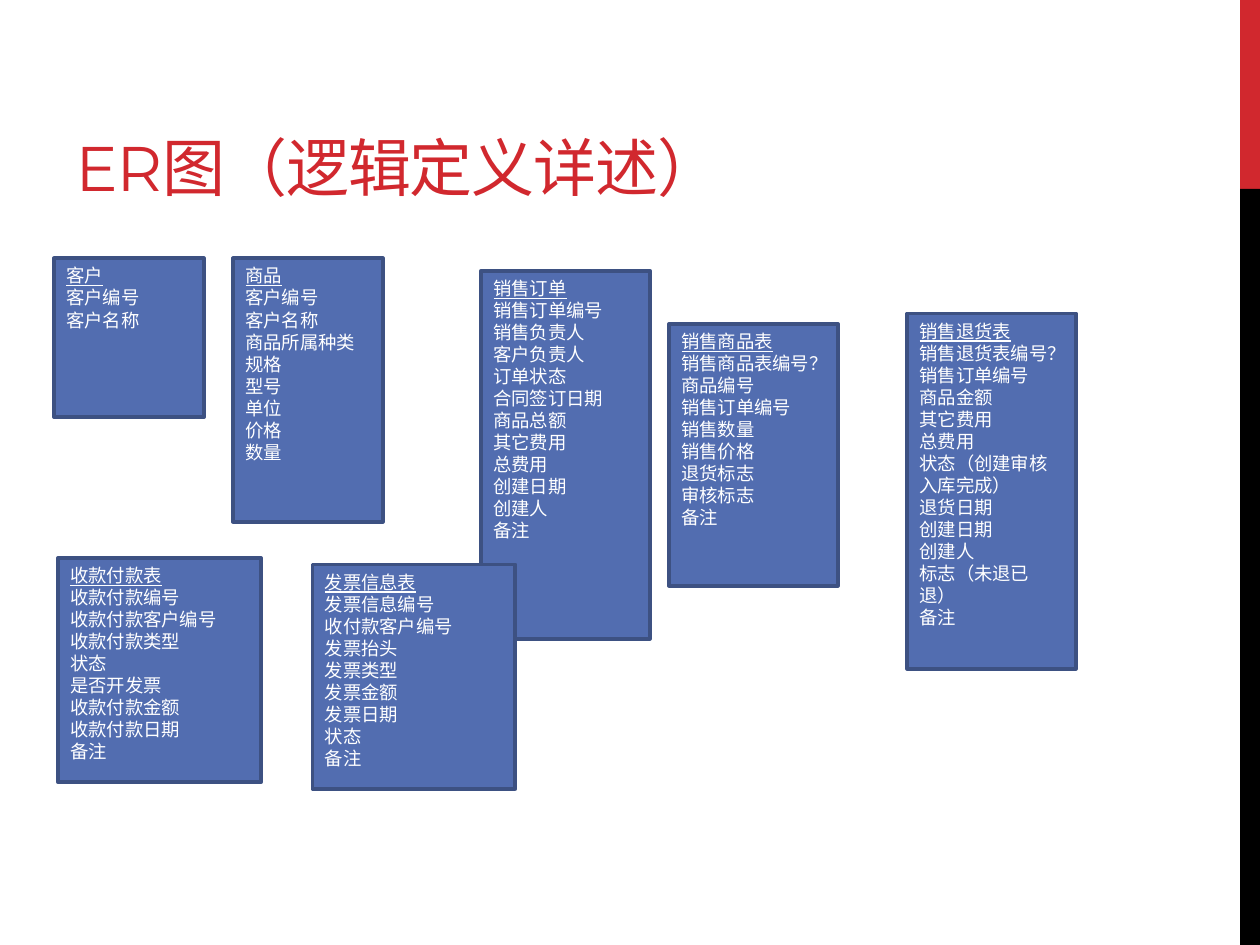
from dataclasses import dataclass

from lxml import etree
from pptx import Presentation
from pptx import util as u
from pptx.dml.color import RGBColor
from pptx.enum import shapes, text
from pptx.oxml.ns import qn

RED = RGBColor(0xD1, 0x28, 0x2E)
BLACK = RGBColor(0x00, 0x00, 0x00)
WHITE = RGBColor(0xFF, 0xFF, 0xFF)
BLUE = RGBColor(0x52, 0x6D, 0xB0)
NAVY = RGBColor(0x3D, 0x51, 0x82)

ENTITY_FONT = {"name": "Arial", "size": u.Pt(10.5)}
TITLE_FONT = {"name": "Montserrat", "size": u.Pt(36), "bold": False}
CHARACTER_WIDTH = 0.37
RULE_OVERHANG = 0.82


@dataclass(frozen=True)
class Entity:
    """A table of the ER diagram; lengths in centimetres."""

    name: str
    left: float
    top: float
    width: float
    height: float
    fields: tuple[str, ...]


ENTITIES = (
    Entity("客户", 1.09, 5.21, 3.02, 3.2, ("客户编号", "客户名称")),
    Entity("收款付款表", 1.17, 11.25, 4.09, 4.52, (
        "收款付款编号", "收款付款客户编号", "收款付款类型", "状态",
        "是否开发票", "收款付款金额", "收款付款日期", "备注")),
    Entity("销售订单", 9.7, 5.46, 3.4, 7.42, (
        "销售订单编号", "销售负责人", "客户负责人", "订单状态",
        "合同签订日期", "商品总额", "其它费用", "总费用",
        "创建日期", "创建人", "备注")),
    Entity("销售商品表", 13.49, 6.53, 3.4, 5.28, (
        "销售商品表编号？", "商品编号", "销售订单编号", "销售数量",
        "销售价格", "退货标志", "审核标志", "备注")),
    Entity("销售退货表", 18.29, 6.32, 3.4, 7.16, (
        "销售退货表编号？", "销售订单编号", "商品金额", "其它费用",
        "总费用", "状态（创建审核入库完成）", "退货日期", "创建日期",
        "创建人", "标志（未退已退）", "备注")),
    Entity("商品", 4.7, 5.21, 3.02, 5.31, (
        "客户编号", "客户名称", "商品所属种类", "规格",
        "型号", "单位", "价格", "数量")),
    Entity("发票信息表", 6.3, 11.38, 4.09, 4.52, (
        "发票信息编号", "收付款客户编号", "发票抬头", "发票类型",
        "发票金额", "发票日期", "状态", "备注")),
)


def apply_format(target, values: dict) -> None:
    """Set each named attribute on the target."""
    for name, value in values.items():
        setattr(target, name, value)


def add_box(page, left: float, top: float, width: float, height: float,
            fill: RGBColor):
    """Add a flat rectangle without an outline."""
    box = page.shapes.add_shape(
        shapes.MSO_SHAPE.RECTANGLE,
        u.Cm(left), u.Cm(top), u.Cm(width), u.Cm(height))
    box.shadow.inherit = False
    box.fill.solid()
    box.fill.fore_color.rgb = fill
    box.line.fill.background()
    return box


def add_tab_stop(para, position: float) -> None:
    """Give a paragraph one left tab stop."""
    tabs = etree.SubElement(para._p.get_or_add_pPr(), qn("a:tabLst"))
    etree.SubElement(tabs, qn("a:tab"), pos=str(int(u.Cm(position))), algn="l")


def add_entity(page, entity: Entity) -> None:
    """Draw an entity with its underlined name above its fields."""
    box = add_box(page, entity.left, entity.top, entity.width, entity.height, BLUE)
    box.line.color.rgb = NAVY
    box.line.width = u.Pt(2.25)
    frame = box.text_frame
    apply_format(frame, {"word_wrap": True,
                         "vertical_anchor": text.MSO_ANCHOR.TOP})
    for index, line in enumerate((entity.name + "\t", *entity.fields)):
        para = frame.add_paragraph() if index else frame.paragraphs[0]
        para.alignment = text.PP_ALIGN.LEFT
        span = para.add_run()
        span.text = line
        apply_format(span.font, {**ENTITY_FONT, "underline": index == 0})
        span.font.color.rgb = WHITE
    add_tab_stop(frame.paragraphs[0],
                 len(entity.name) * CHARACTER_WIDTH + RULE_OVERHANG)


def set_title(page, words: str) -> None:
    """Place and format the title placeholder."""
    title = page.shapes.title
    apply_format(title, {"left": u.Cm(1.27), "top": u.Cm(0.43),
                         "width": u.Cm(22.83), "height": u.Cm(3.81)})
    frame = title.text_frame
    apply_format(frame, {"word_wrap": True,
                         "auto_size": text.MSO_AUTO_SIZE.NONE,
                         "vertical_anchor": text.MSO_ANCHOR.BOTTOM})
    para = frame.paragraphs[0]
    para.alignment = text.PP_ALIGN.LEFT
    span = para.add_run()
    span.text = words
    apply_format(span.font, TITLE_FONT)
    span.font.color.rgb = RED
    span._r.get_or_add_rPr().set("spc", "-60")


def main() -> None:
    """Build and save the deck."""
    deck = Presentation()
    apply_format(deck, {"slide_width": u.Cm(25.4), "slide_height": u.Cm(19.05)})
    page = deck.slides.add_slide(deck.slide_layouts[5])
    set_title(page, "ER图（逻辑定义详述）")
    add_box(page, 25, 0, 0.4, 3.81, RED)
    add_box(page, 25, 3.81, 0.4, 15.24, BLACK)
    for entity in ENTITIES:
        add_entity(page, entity)
    deck.save("out.pptx")


main()
